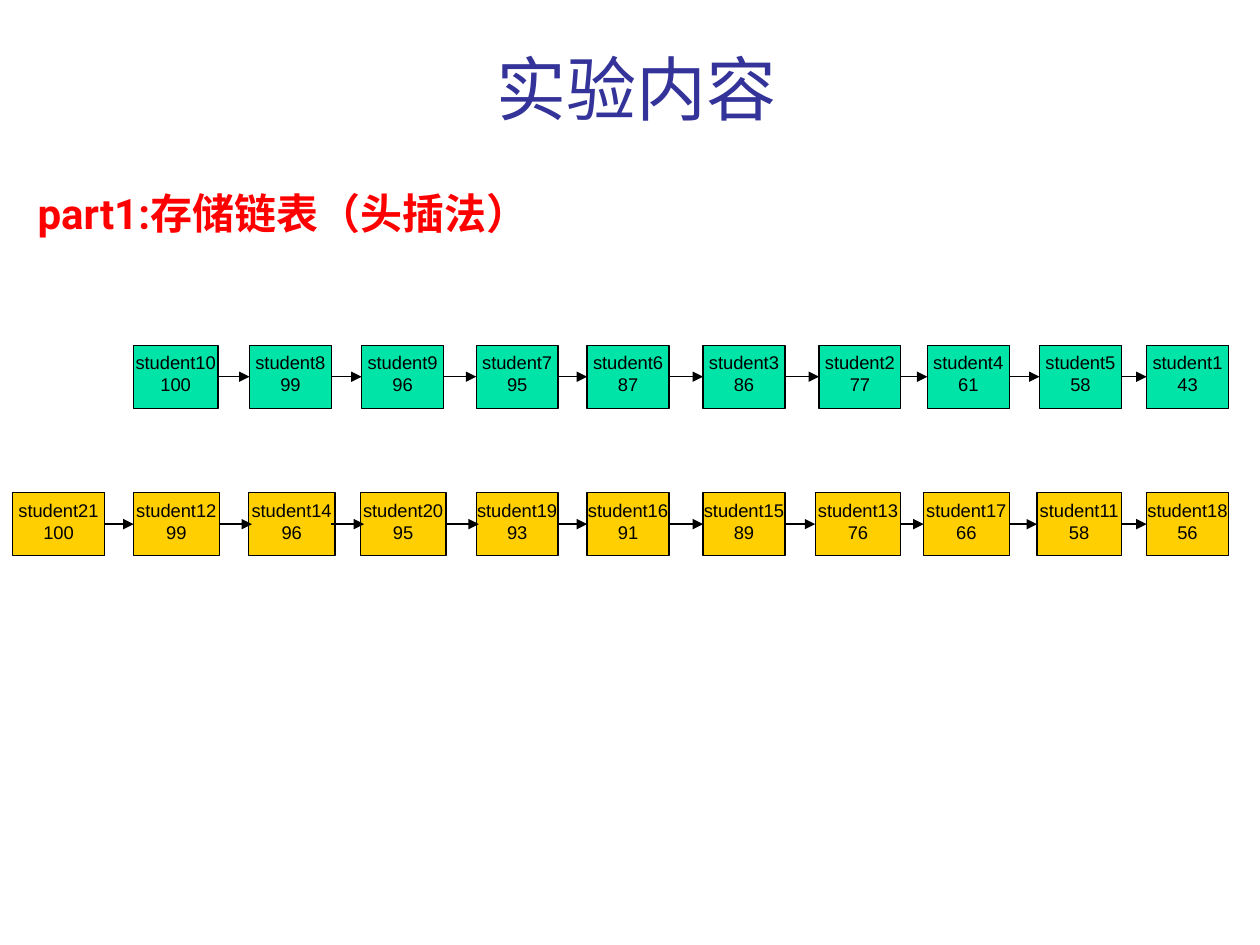
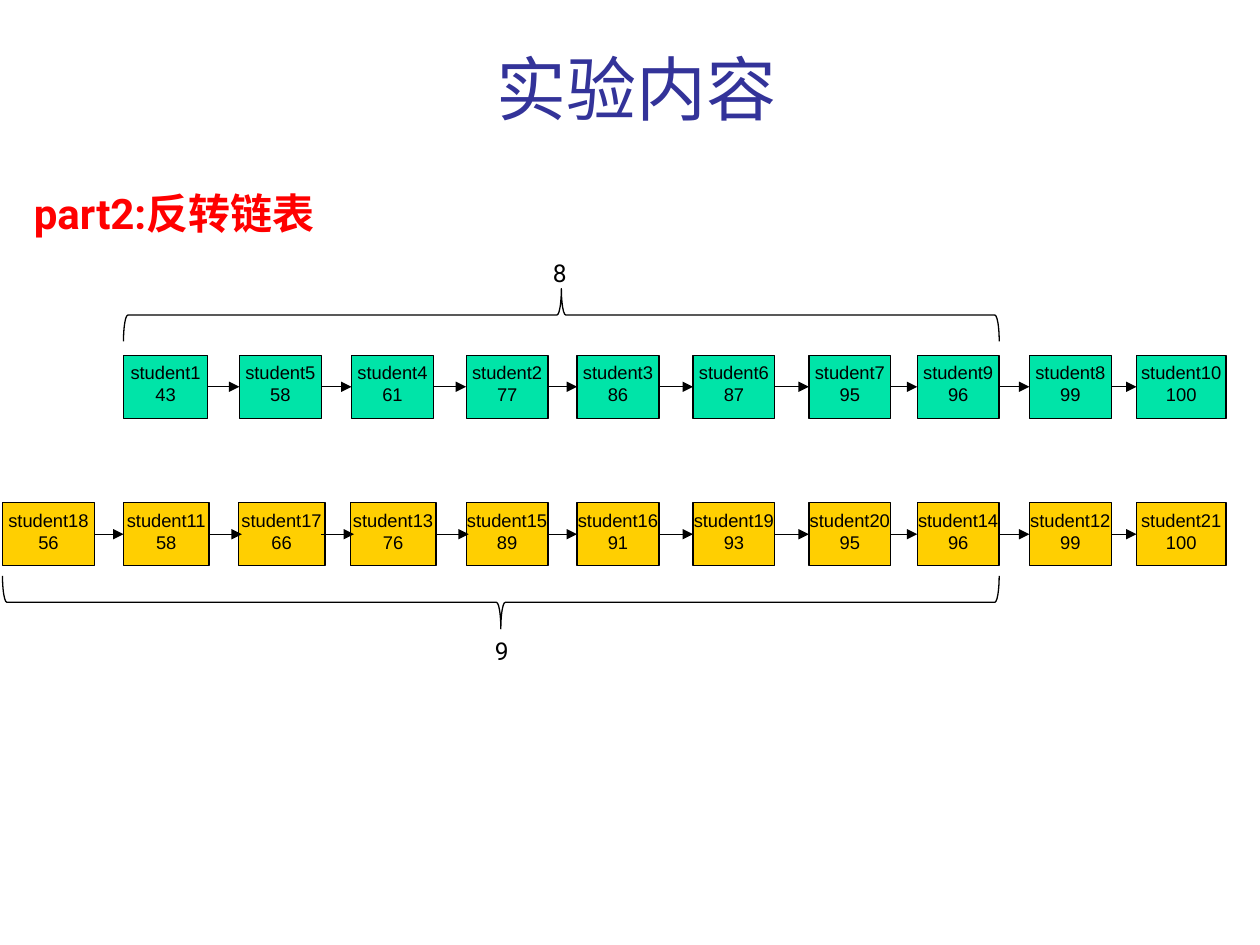
import pptx
import pptx.util
import pptx.dml.color
import pptx.enum.shapes
import pptx.enum.text
import pptx.oxml.ns
from dataclasses import dataclass
from lxml import etree

# Content: each chain is a list of (student number, score).
TITLE = "实验内容"
GREEN_CHAIN = [(10, 100), (8, 99), (9, 96), (7, 95), (6, 87),
               (3, 86), (2, 77), (4, 61), (5, 58), (1, 43)]
YELLOW_CHAIN = [(21, 100), (12, 99), (14, 96), (20, 95), (19, 93), (16, 91),
                (15, 89), (13, 76), (17, 66), (11, 58), (18, 56)]

# Extra width of some nodes, by column: (to the left, to the right).
GREEN_EXTRA = {1: (0, 0.02)}
YELLOW_EXTRA = {0: (0, 0.08), 1: (0, 0.03), 2: (0.01, 0.03), 3: (0.01, 0.02)}
STORED_EXTRA = {7: (0.03, 0), 8: (0.03, 0), 9: (0.02, 0)}
REVERSED_EXTRA = {10: (0, 0.06)}

SLIDES = [
    dict(heading="part1:存储链表（头插法）", heading_at=(0.2, 4.46),
         shift=0, top=2.74, braces=[],
         green=GREEN_CHAIN, yellow=YELLOW_CHAIN, extra=STORED_EXTRA),
    dict(heading="part2:反转链表", heading_at=(0.17, 3.53),
         shift=-0.08, top=2.82,
         # label, first and last column, middle height, rotation, label place
         braces=[("8", 1, 8, 2.5, 90, (4.29, 2)),
                 ("9", 0, 8, 4.78, 270, (3.83, 5))],
         green=GREEN_CHAIN[::-1], yellow=YELLOW_CHAIN[::-1],
         extra=REVERSED_EXTRA),
]

# Grid, in inches
COLUMNS = [0.1, 1.06, 1.98, 2.87, 3.78, 4.66, 5.58, 6.5, 7.36, 8.25, 9.1]
NODE_W, NODE_H, ROW_STEP = 0.65, 0.5, 1.17
OVERLAP_COLUMNS = (2, 3, 4)   # arrows that reach into the yellow nodes
OVERLAP, OVERLAP_ARROW = 0.02, 0.26
BRACE_DEPTH = 0.42


@dataclass(frozen=True)
class Theme:
    """Colours and text styles shared by the slides."""
    green: str = "00E4A8"
    yellow: str = "FFCF01"
    line: str = "000000"
    line_width: float = 0.75
    title = dict(name="Roboto", size=40, color="333399", bold=False)
    heading = dict(name="Roboto", size=24, color="FF0000", bold=True)
    label = dict(name="Roboto", size=14, color="000000", bold=False)
    node = dict(name="Arial", size=10.5, color="000000", bold=False)


THEME = Theme()
ALIGN = pptx.enum.text.PP_ALIGN
ANCHOR = pptx.enum.text.MSO_ANCHOR
FIT = pptx.enum.text.MSO_AUTO_SIZE
SHAPE = pptx.enum.shapes.MSO_SHAPE


def inches(*values):
    """Convert numbers to lengths."""
    return [pptx.util.Inches(v) for v in values]


def rgb(code):
    """Turn a hex code into a colour."""
    return pptx.dml.color.RGBColor.from_string(code)


def write(tf, lines, style, align=ALIGN.LEFT, **frame):
    """Fill a text frame with one styled paragraph per line."""
    for key, value in frame.items():
        setattr(tf, key, value)
    for i, line in enumerate(lines):
        p = tf.add_paragraph() if i else tf.paragraphs[0]
        p.alignment = align
        r = p.add_run()
        r.text = line
        values = dict(style, size=pptx.util.Pt(style["size"]))
        r.font.color.rgb = rgb(values.pop("color"))
        for key, value in values.items():
            setattr(r.font, key, value)


def set_line(sp):
    """Give a shape or connector the shared thin line."""
    sp.line.color.rgb = rgb(THEME.line)
    sp.line.width = pptx.util.Pt(THEME.line_width)


def add_text(slide, text, box, style):
    """Add a wrapping text box that grows with its text."""
    sp = slide.shapes.add_textbox(*inches(*box))
    write(sp.text_frame, [text], style, word_wrap=True,
          auto_size=FIT.SHAPE_TO_FIT_TEXT)


def add_preset(slide, kind, box, fill=None):
    """Add a preset shape without shadow, filled or hollow."""
    sp = slide.shapes.add_shape(kind, *inches(*box))
    sp.shadow.inherit = False
    if fill:
        sp.fill.solid()
        sp.fill.fore_color.rgb = rgb(fill)
    else:
        sp.fill.background()
    set_line(sp)
    return sp


def add_arrow(slide, x1, x2, y):
    """Draw a level arrow from x1 to x2."""
    cx = slide.shapes.add_connector(
        pptx.enum.shapes.MSO_CONNECTOR.STRAIGHT, *inches(x1, y, x2, y))
    set_line(cx)
    qn = pptx.oxml.ns.qn
    etree.SubElement(cx.line._get_or_add_ln(), qn("a:tailEnd"), type="triangle")
    etree.SubElement(cx._element.spPr, qn("a:effectLst"))


def add_chain(slide, chain, columns, top, fill, extra, overlaps=()):
    """Draw a right-aligned chain of nodes, then the arrows between them."""
    first = len(columns) - len(chain)
    edges = {}
    for col, (number, score) in enumerate(chain, first):
        grow_left, grow_right = extra.get(col, (0, 0))
        left = columns[col] - grow_left
        right = columns[col] + NODE_W + grow_right
        edges[col] = left, right
        sp = add_preset(slide, SHAPE.RECTANGLE,
                        (left, top, right - left, NODE_H), fill)
        write(sp.text_frame, [f"student{number}", str(score)], THEME.node,
              ALIGN.CENTER, word_wrap=False, vertical_anchor=ANCHOR.TOP)
    for col in range(first + 1, len(columns)):
        start, tip = edges[col - 1][1], edges[col][0]
        if col in overlaps:
            tip = columns[col] + OVERLAP
            start = tip - OVERLAP_ARROW
        add_arrow(slide, start, tip, top + NODE_H / 2)


def add_brace(slide, columns, label, first, last, middle, rotation, place):
    """Span columns first to last with a turned brace and its label."""
    left, right = columns[first], columns[last] + NODE_W
    span, centre = right - left, (left + right) / 2
    sp = add_preset(slide, SHAPE.LEFT_BRACE,
                    (centre - BRACE_DEPTH / 2, middle - span / 2,
                     BRACE_DEPTH, span))
    sp.rotation = rotation
    add_text(slide, label, (*place, 0.64, 0.34), THEME.label)


def add_slide(prs, data):
    """Build one slide: title, heading, two chains and any braces."""
    slide = prs.slides.add_slide(prs.slide_layouts.get_by_name("Title Only"))
    title = slide.shapes.title
    for key, value in zip(("left", "top", "width", "height"),
                          inches(0.83, 0.25, 8.44, 0.83)):
        setattr(title, key, value)
    write(title.text_frame, [TITLE], THEME.title, ALIGN.CENTER,
          vertical_anchor=ANCHOR.BOTTOM, auto_size=FIT.NONE)
    left, width = data["heading_at"]
    add_text(slide, data["heading"], (left, 1.44, width, 0.5), THEME.heading)

    columns = [x + data["shift"] for x in COLUMNS]
    extra = data["extra"]
    add_chain(slide, data["green"], columns, data["top"], THEME.green,
              {**GREEN_EXTRA, 10: extra.get(10, (0, 0))})
    add_chain(slide, data["yellow"], columns, data["top"] + ROW_STEP,
              THEME.yellow, {**YELLOW_EXTRA, **extra}, OVERLAP_COLUMNS)
    for brace in data["braces"]:
        add_brace(slide, columns, *brace)


prs = pptx.Presentation()
prs.slide_width, prs.slide_height = inches(10, 7.5)
for data in SLIDES:
    add_slide(prs, data)
prs.save("out.pptx")
